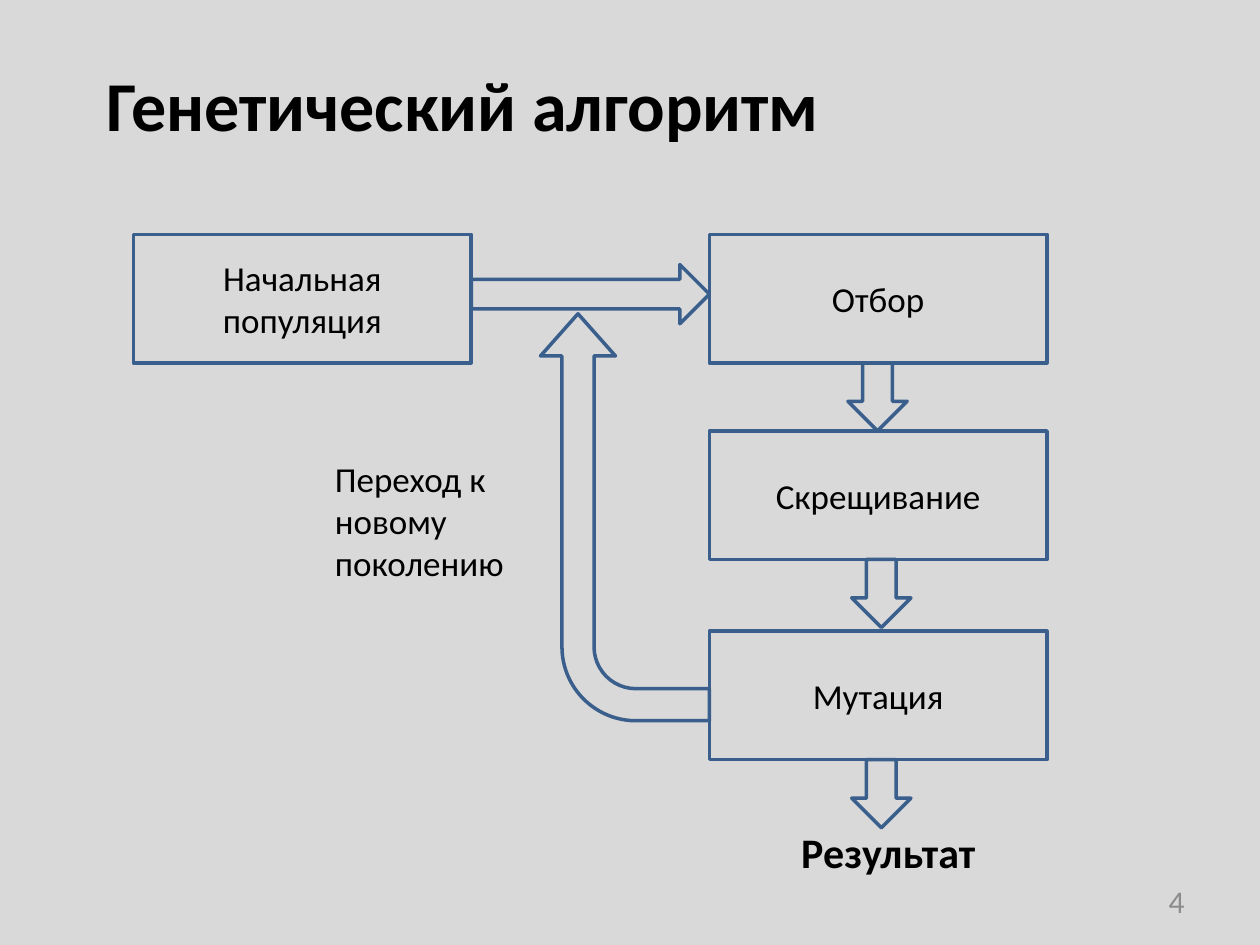
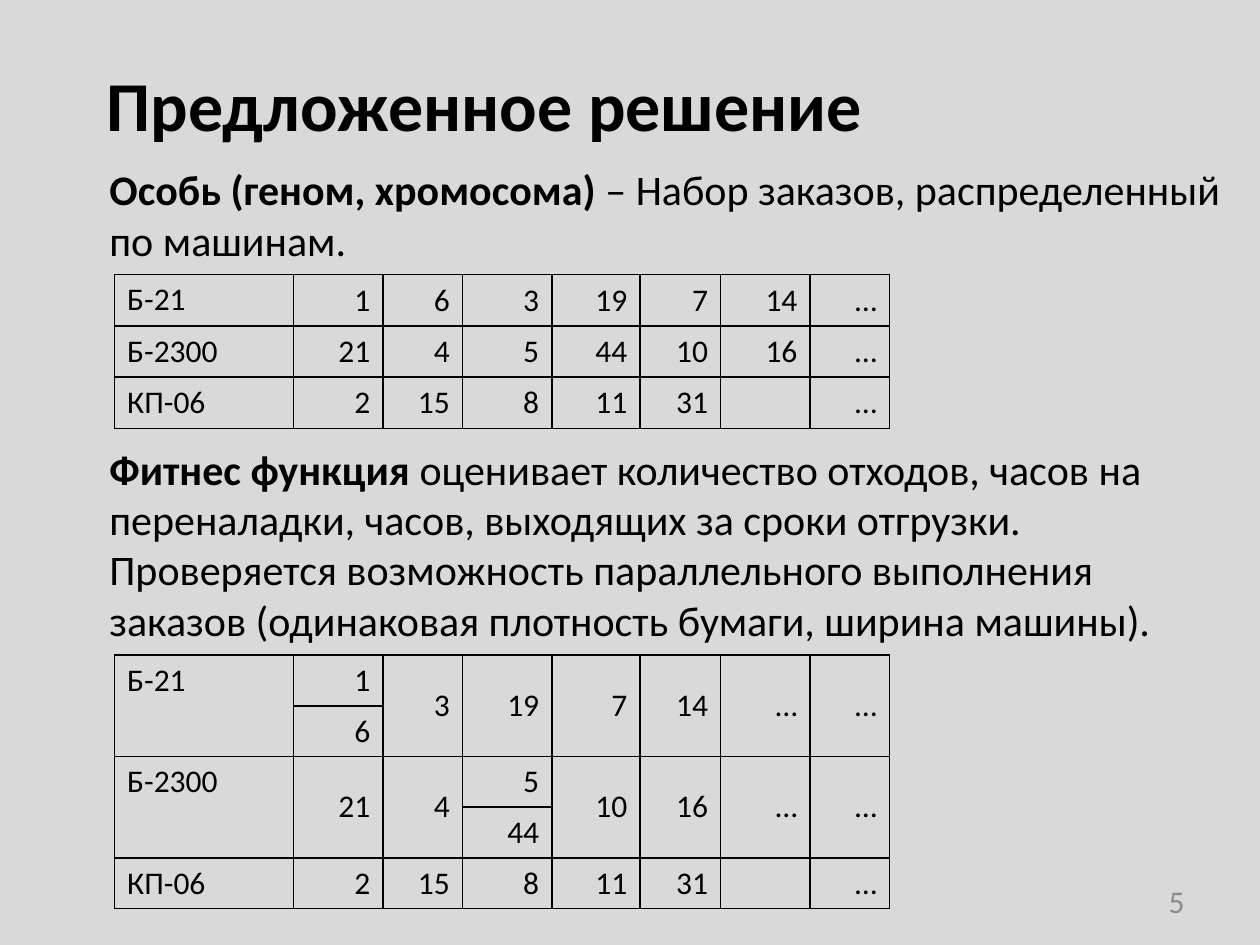
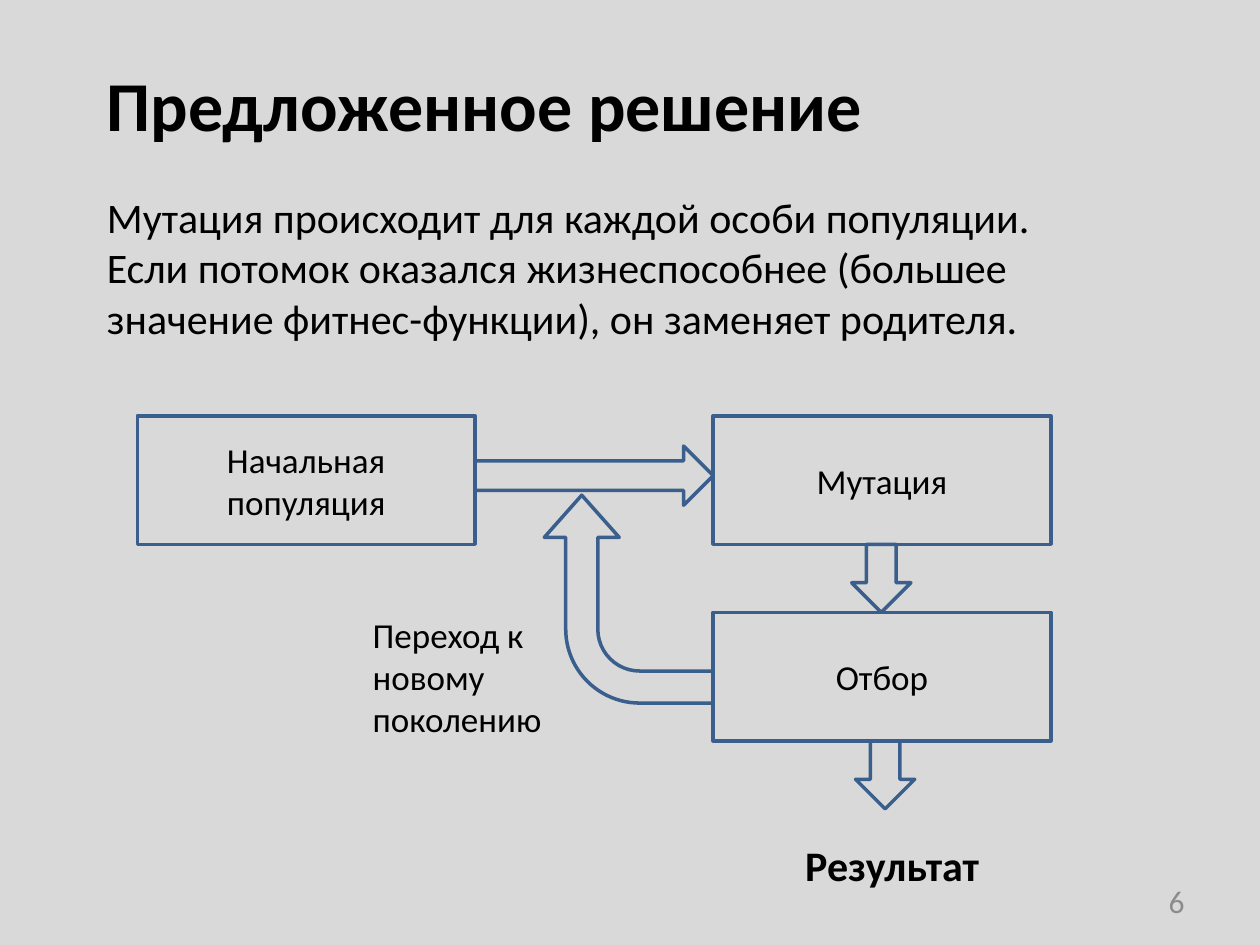
"""Build three slides on a genetic algorithm for scheduling orders on machines."""
from dataclasses import dataclass

from lxml import etree
from pptx import Presentation
from pptx.dml.color import RGBColor
from pptx.enum.shapes import MSO_SHAPE
from pptx.enum.text import MSO_ANCHOR, MSO_AUTO_SIZE, PP_ALIGN
from pptx.oxml.ns import qn
from pptx.util import Inches, Pt

RECT, RIGHT_ARROW = MSO_SHAPE.RECTANGLE, MSO_SHAPE.RIGHT_ARROW
DOWN_ARROW, BENT_ARROW = MSO_SHAPE.DOWN_ARROW, MSO_SHAPE.BENT_ARROW
LEFT, CENTER, RIGHT = PP_ALIGN.LEFT, PP_ALIGN.CENTER, PP_ALIGN.RIGHT
TOP, MIDDLE = MSO_ANCHOR.TOP, MSO_ANCHOR.MIDDLE
GROW, FIXED = MSO_AUTO_SIZE.SHAPE_TO_FIT_TEXT, MSO_AUTO_SIZE.NONE

COLORS = {"background": "D9D9D9", "text": "000000", "number": "8C8C8C", "outline": "3A5F8C"}
FONT = "Calibri"
SLIDE_WIDTH, SLIDE_HEIGHT = Inches(10), Inches(7.5)
GRID_COLUMNS = 100
UNIT = SLIDE_WIDTH / GRID_COLUMNS
FIRST_NUMBER = 4

STAGE_WIDTH, STAGE_HEIGHT = 26.8, 10.2
STAGE_COLUMN = 45.7
STAGE_ROWS = (0, 15.6, 31.5)
ARROW_BREADTH, ARROW_LENGTH = 4.7, 5.4
LOOP_TOP, LOOP_BREADTH = 6.3, 13.4
LOOP_ADJUSTMENTS = (0.19, 0.222, 0.25, 0.438)

TABLE_LEFT = 9.1
TABLE_COLUMNS = (14.2, 7.1, 6.3, 7.1, 7, 6.4, 7.1, 6.3)
LAST_ORDERS = ("КП-06", "2", "15", "8", "11", "31", "", "…")
ORDERS = (
    ("Б-21", "1", "6", "3", "19", "7", "14", "…"),
    ("Б-2300", "21", "4", "5", "44", "10", "16", "…"),
    LAST_ORDERS,
)
PARALLEL_ORDERS = (
    ("Б-21", "1", "3", "19", "7", "14", "…", "…"),
    (None, "6", None, None, None, None, None, None),
    ("Б-2300", "21", "4", "5", "10", "16", "…", "…"),
    (None, None, None, "44", None, None, None, None),
    LAST_ORDERS,
)


@dataclass(frozen=True)
class Box:
    """A place on the grid, in columns and rows."""
    left: float
    top: float
    width: float
    height: float

    def lengths(self) -> list[int]:
        """Return left, top, width and height as slide lengths."""
        return [round(v * UNIT) for v in (self.left, self.top, self.width, self.height)]


@dataclass(frozen=True)
class Style:
    """The look of a piece of text."""
    size: int
    color: str = "text"
    bold: bool | None = None
    align: PP_ALIGN = LEFT
    anchor: MSO_ANCHOR = TOP
    fit: MSO_AUTO_SIZE = GROW


@dataclass(frozen=True)
class Paragraph:
    """A paragraph with an optional bold opening."""
    text: str
    term: str = ""
    space_before: int = 0


@dataclass(frozen=True)
class Flow:
    """A cycle of stages with its origin and the places of its captions."""
    left: float
    top: float
    stages: tuple[str, ...]
    loop_length: float
    result_top: float
    loop_caption: Box


TITLE = Style(40, bold=True)
NUMBER = Style(18, "number", align=RIGHT, anchor=MIDDLE, fit=FIXED)
BODY = Style(24)
STAGE = Style(20, align=CENTER, anchor=MIDDLE, fit=FIXED)
CAPTION = Style(20)
RESULT = Style(24, bold=True, align=CENTER)
MACHINE = Style(18)
ORDER = Style(18, align=RIGHT, anchor=MIDDLE)

TITLE_BOX = Box(7.5, 4.4, 85.8, 7.7)
NUMBER_BOX = Box(71.7, 69.5, 23.3, 4)

FULL_CYCLE = Flow(10.6, 18.6, ("Отбор", "Скрещивание", "Мутация"), 32.3, 65.1,
                  Box(25.6, 35.8, 21.3, 11.1))
MUTATION_CYCLE = Flow(10.9, 33, ("Мутация", "Отбор"), 16.5, 66.1,
                      Box(28.6, 48.2, 21.3, 11.1))

DEFINITIONS = (
    Paragraph("– Набор заказов, распределенный по машинам.", "Особь (геном, хромосома) "),
    Paragraph("оценивает количество отходов, часов на переналадки, часов, выходящих за сроки "
              "отгрузки. Проверяется возможность параллельного выполнения заказов "
              "(одинаковая плотность бумаги, ширина машины).", "Фитнес функция ", 102),
)
MUTATION_RULE = Paragraph(
    "Мутация происходит для каждой особи популяции. Если потомок оказался жизнеспособнее "
    "(большее значение фитнес-функции), он заменяет родителя.")


def rgb(name: str) -> RGBColor:
    """Look up a named colour."""
    return RGBColor.from_string(COLORS[name])


def fill_paragraph(target, content: Paragraph, style: Style) -> None:
    """Write one paragraph with its font."""
    target.alignment = style.align
    target.space_before = Pt(content.space_before)
    font = target.font
    font.name, font.size, font.bold = FONT, Pt(style.size), style.bold
    font.color.rgb = rgb(style.color)
    if content.term:
        target.add_run().text = content.term
        target.runs[0].font.bold = True
    if content.text:
        target.add_run().text = content.text


def fill_frame(frame, style: Style, *contents: Paragraph) -> None:
    """Write paragraphs into a text frame."""
    frame.word_wrap = True
    frame.auto_size = style.fit
    frame.vertical_anchor = style.anchor
    for index, content in enumerate(contents):
        target = frame.add_paragraph() if index else frame.paragraphs[0]
        fill_paragraph(target, content, style)


def add_text(slide, box: Box, style: Style, *contents: Paragraph) -> None:
    """Add a text box."""
    fill_frame(slide.shapes.add_textbox(*box.lengths()).text_frame, style, *contents)


def add_outline(slide, kind: MSO_SHAPE, box: Box):
    """Add an unfilled outlined shape."""
    outline = slide.shapes.add_shape(kind, *box.lengths())
    outline.shadow.inherit = False
    outline.fill.background()
    outline.line.color.rgb = rgb("outline")
    outline.line.width = Pt(2)
    return outline


def add_stage(slide, left: float, top: float, name: str) -> None:
    """Add a named stage of the cycle."""
    stage = add_outline(slide, RECT, Box(left, top, STAGE_WIDTH, STAGE_HEIGHT))
    fill_frame(stage.text_frame, STAGE, Paragraph(name))


def add_loop(slide, right: float, top: float, length: float) -> None:
    """Add the bent arrow that leads back to the first stage."""
    center_x, center_y = right - LOOP_BREADTH / 2, top + length / 2
    loop = add_outline(slide, BENT_ARROW, Box(
        center_x - length / 2, center_y - LOOP_BREADTH / 2, length, LOOP_BREADTH))
    loop.rotation = 270
    for index, value in enumerate(LOOP_ADJUSTMENTS):
        loop.adjustments[index] = value


def add_flow(slide, flow: Flow) -> None:
    """Draw the whole cycle."""
    stage_left = flow.left + STAGE_COLUMN
    add_stage(slide, flow.left, flow.top, "Начальная популяция")
    add_outline(slide, RIGHT_ARROW, Box(
        flow.left + STAGE_WIDTH, flow.top + 2.4, STAGE_COLUMN - STAGE_WIDTH, ARROW_BREADTH))
    for index, (name, row) in enumerate(zip(flow.stages, STAGE_ROWS)):
        add_stage(slide, stage_left, flow.top + row, name)
        arrow_left = stage_left + (11.3 if index else 11)
        add_outline(slide, DOWN_ARROW, Box(
            arrow_left, flow.top + row + STAGE_HEIGHT, ARROW_BREADTH, ARROW_LENGTH))
    add_loop(slide, stage_left, flow.top + LOOP_TOP, flow.loop_length)
    add_text(slide, Box(stage_left + 0.8, flow.result_top, STAGE_WIDTH, 5), RESULT,
             Paragraph("Результат"))
    add_text(slide, flow.loop_caption, CAPTION, Paragraph("Переход к новому поколению"))


def add_borders(cell) -> None:
    """Give a cell a thin border on every side."""
    properties = cell._tc.get_or_add_tcPr()
    for index, side in enumerate(("a:lnL", "a:lnR", "a:lnT", "a:lnB")):
        border = etree.Element(qn(side), w=str(Pt(1)))
        solid = etree.SubElement(border, qn("a:solidFill"))
        etree.SubElement(solid, qn("a:srgbClr"), val=COLORS["text"])
        properties.insert(index, border)


def add_orders(slide, top: float, row_height: float, orders: tuple) -> None:
    """Add a table of orders by machine, where None continues the cell above."""
    box = Box(TABLE_LEFT, top, sum(TABLE_COLUMNS), row_height * len(orders))
    table = slide.shapes.add_table(len(orders), len(TABLE_COLUMNS), *box.lengths()).table
    table.first_row = table.horz_banding = False
    for column, width in zip(table.columns, TABLE_COLUMNS):
        column.width = round(width * UNIT)
    for row, values in enumerate(orders):
        for column, value in enumerate(values):
            cell = table.cell(row, column)
            style = ORDER if column else MACHINE
            cell.vertical_anchor = style.anchor
            fill_paragraph(cell.text_frame.paragraphs[0], Paragraph(value or ""), style)
            cell.fill.background()
            add_borders(cell)
            if value is None:
                table.cell(row - 1, column).merge(cell)


def add_solution(slide) -> None:
    """Show how orders are coded and rated."""
    add_text(slide, Box(7.7, 12.5, 90.3, 39.5), BODY, *DEFINITIONS)
    add_orders(slide, 21.8, 4.07, ORDERS)
    add_orders(slide, 52, 4.02, PARALLEL_ORDERS)


def add_mutation(slide) -> None:
    """Show the cycle that relies on mutation."""
    add_flow(slide, MUTATION_CYCLE)
    add_text(slide, Box(7.5, 14.7, 81.9, 13.1), BODY, MUTATION_RULE)


def main() -> None:
    """Build and save the presentation."""
    deck = Presentation()
    deck.slide_width, deck.slide_height = SLIDE_WIDTH, SLIDE_HEIGHT
    background = deck.slide_master.background.fill
    background.solid()
    background.fore_color.rgb = rgb("background")
    pages = (
        ("Генетический алгоритм", lambda slide: add_flow(slide, FULL_CYCLE)),
        ("Предложенное решение", add_solution),
        ("Предложенное решение", add_mutation),
    )
    for number, (title, draw) in enumerate(pages, FIRST_NUMBER):
        slide = deck.slides.add_slide(deck.slide_layouts[6])
        add_text(slide, TITLE_BOX, TITLE, Paragraph(title))
        add_text(slide, NUMBER_BOX, NUMBER, Paragraph(str(number)))
        draw(slide)
    deck.save("out.pptx")


if __name__ == "__main__":
    main()
